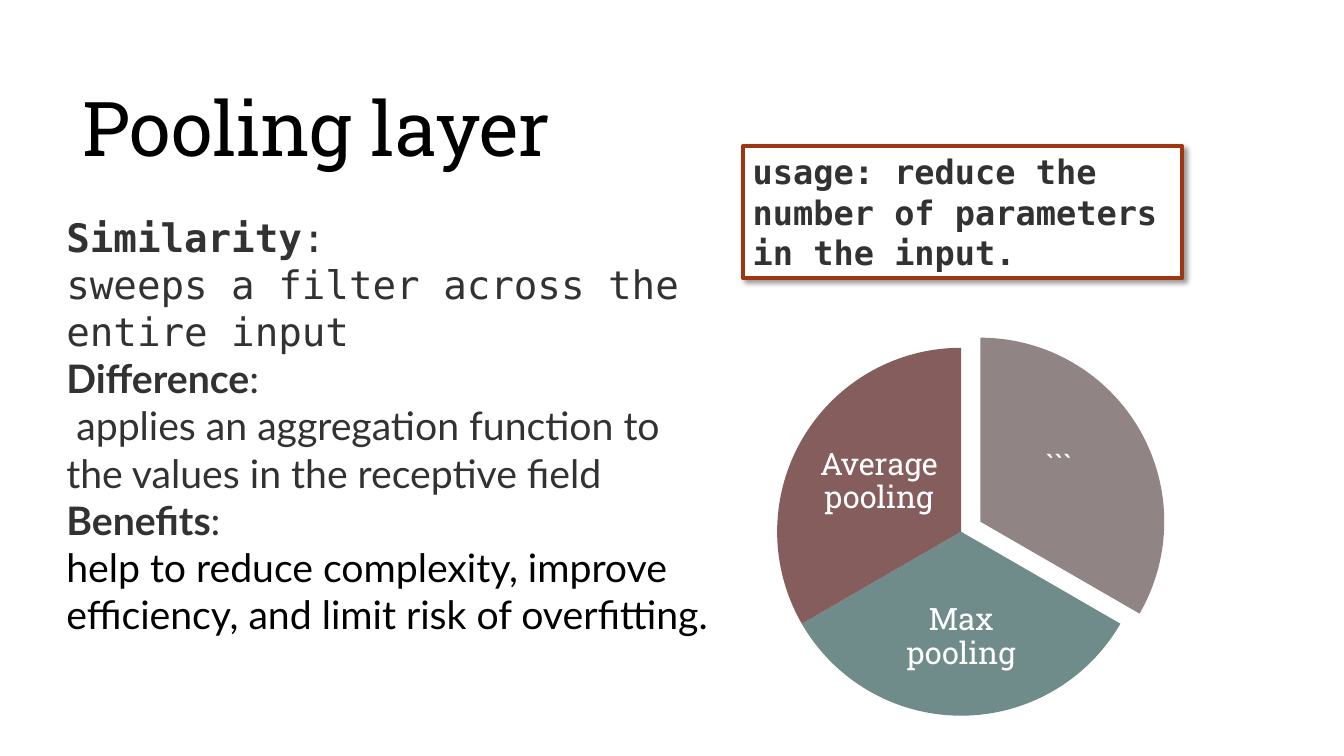
from dataclasses import dataclass

from lxml import etree
from pptx import Presentation
from pptx import util as u
from pptx.dml.color import RGBColor
from pptx.enum import shapes, text
from pptx.oxml.ns import qn
from pptx.shapes.autoshape import Shape
from pptx.slide import Slide

Box = tuple[float, float, float, float]


@dataclass(frozen=True)
class Theme:
    black: str = "000000"
    white: str = "FFFFFF"
    ink: str = "323232"
    rust: str = "9E3611"
    grey: str = "918485"
    teal: str = "6F8C8B"
    rose: str = "855D5D"
    slab: str = "Roboto Slab"
    mono: str = "DejaVu Sans Mono"
    sans: str = "Lato"
    title: float = 54
    body: float = 28
    usage: float = 24
    label: float = 22


@dataclass(frozen=True)
class Run:
    words: str
    font: str
    size: float
    color: str
    bold: bool = False


@dataclass(frozen=True)
class Slice:
    words: str
    fill: str
    left: float
    top: float
    label: Box


@dataclass(frozen=True)
class Topic:
    head: str
    words: str
    font: str
    color: str


T = Theme()
SIZE = 262.8
SLICES = [
    Slice("```", T.grey, 568.8, 241.2, (711.4, 289.4, 89.3, 87.8)),
    Slice("Max pooling", T.teal, 555.1, 248.4, (627.1, 414.7, 118.8, 81.4)),
    Slice("Average pooling", T.rose, 555.1, 248.4, (583.2, 300.2, 89.3, 87.8)),
]
TOPICS = [
    Topic("Similarity", "sweeps a filter across the entire input", T.mono, T.ink),
    Topic("Difference", " applies an aggregation function to the values in the receptive field",
          T.sans, T.ink),
    Topic("Benefits", "help to reduce complexity, improve efficiency, "
          "and limit risk of overfitting.", T.sans, T.black),
]


def place(box: Box) -> list[u.Length]:
    return [u.Pt(side) for side in box]


def write(shape: Shape, paras: list[list[Run]], *, space: float = 1.0,
          align: text.PP_ALIGN = text.PP_ALIGN.LEFT,
          anchor: text.MSO_ANCHOR = text.MSO_ANCHOR.TOP,
          inset: tuple[float, float] = (7.2, 3.6), grow: bool = False) -> None:
    """Fill a shape with paragraphs; inset is the side margin, then top and bottom."""
    frame = shape.text_frame
    frame.word_wrap = True
    frame.vertical_anchor = anchor
    frame.auto_size = (text.MSO_AUTO_SIZE.SHAPE_TO_FIT_TEXT if grow
                       else text.MSO_AUTO_SIZE.NONE)
    frame.margin_left = frame.margin_right = u.Pt(inset[0])
    frame.margin_top = frame.margin_bottom = u.Pt(inset[1])
    for i, runs in enumerate(paras):
        para = frame.add_paragraph() if i else frame.paragraphs[0]
        para.alignment = align
        para.line_spacing = space
        for item in runs:
            run = para.add_run()
            run.text = item.words
            run.font.name = item.font
            run.font.size = u.Pt(item.size)
            run.font.bold = item.bold
            run.font.color.rgb = RGBColor.from_string(item.color)


def draw(slide: Slide, kind: shapes.MSO_SHAPE, box: Box, fill: str) -> Shape:
    """Add a filled shape without line or shadow."""
    shape = slide.shapes.add_shape(kind, *place(box))
    shape.fill.solid()
    shape.fill.fore_color.rgb = RGBColor.from_string(fill)
    shape.line.fill.background()
    shape.shadow.inherit = False
    return shape


def shade(shape: Shape) -> None:
    """Cast a soft shadow down and to the right."""
    effects = shape.element.spPr.find(qn("a:effectLst"))
    outer = etree.SubElement(effects, qn("a:outerShdw"), blurRad=str(u.Pt(4)),
                             dist=str(u.Pt(3)), dir=str(45 * 60000), algn="tl",
                             rotWithShape="0")
    color = etree.SubElement(outer, qn("a:srgbClr"), val=T.black)
    etree.SubElement(color, qn("a:alpha"), val="40000")


def add_usage(slide: Slide) -> None:
    card = draw(slide, shapes.MSO_SHAPE.RECTANGLE, (530.6, 104.4, 313.9, 94.3), T.white)
    card.line.color.rgb = RGBColor.from_string(T.rust)
    card.line.width = u.Pt(3)
    shade(card)
    words = "usage: reduce the number of parameters in the input."
    write(card, [[Run(words, T.mono, T.usage, T.ink, True)]], grow=True)


def add_topics(slide: Slide) -> None:
    paras = []
    for topic in TOPICS:
        paras.append([Run(topic.head, topic.font, T.body, T.ink, True),
                      Run(":", topic.font, T.body, T.ink)])
        paras.append([Run(topic.words, topic.font, T.body, topic.color)])
    body = slide.shapes.add_textbox(*place((40.3, 149, 483.8, 312.5)))
    write(body, paras, grow=True)


def add_pie(slide: Slide) -> None:
    """Draw equal slices clockwise from twelve o'clock, each with its label."""
    sweep = 360 / len(SLICES)
    for i, part in enumerate(SLICES):
        pie = draw(slide, shapes.MSO_SHAPE.PIE, (part.left, part.top, SIZE, SIZE), part.fill)
        for k in range(2):
            angle = (270 + (i + k) * sweep) % 360
            pie.adjustments[k] = angle * 0.6
        label = slide.shapes.add_textbox(*place(part.label))
        write(label, [[Run(part.words, T.slab, T.label, T.white)]], space=0.9,
              align=text.PP_ALIGN.CENTER, anchor=text.MSO_ANCHOR.MIDDLE, inset=(2.2, 2.2))


def main() -> None:
    deck = Presentation()
    deck.slide_width, deck.slide_height = u.Pt(960), u.Pt(540)
    slide = deck.slides.add_slide(deck.slide_layouts[6])
    title = slide.shapes.add_textbox(*place((51.8, 64.1, 720.7, 64.1)))
    write(title, [[Run("Pooling layer", T.slab, T.title, T.black)]], space=0.8,
          anchor=text.MSO_ANCHOR.MIDDLE)
    add_usage(slide)
    add_topics(slide)
    add_pie(slide)
    deck.save("out.pptx")


if __name__ == "__main__":
    main()
